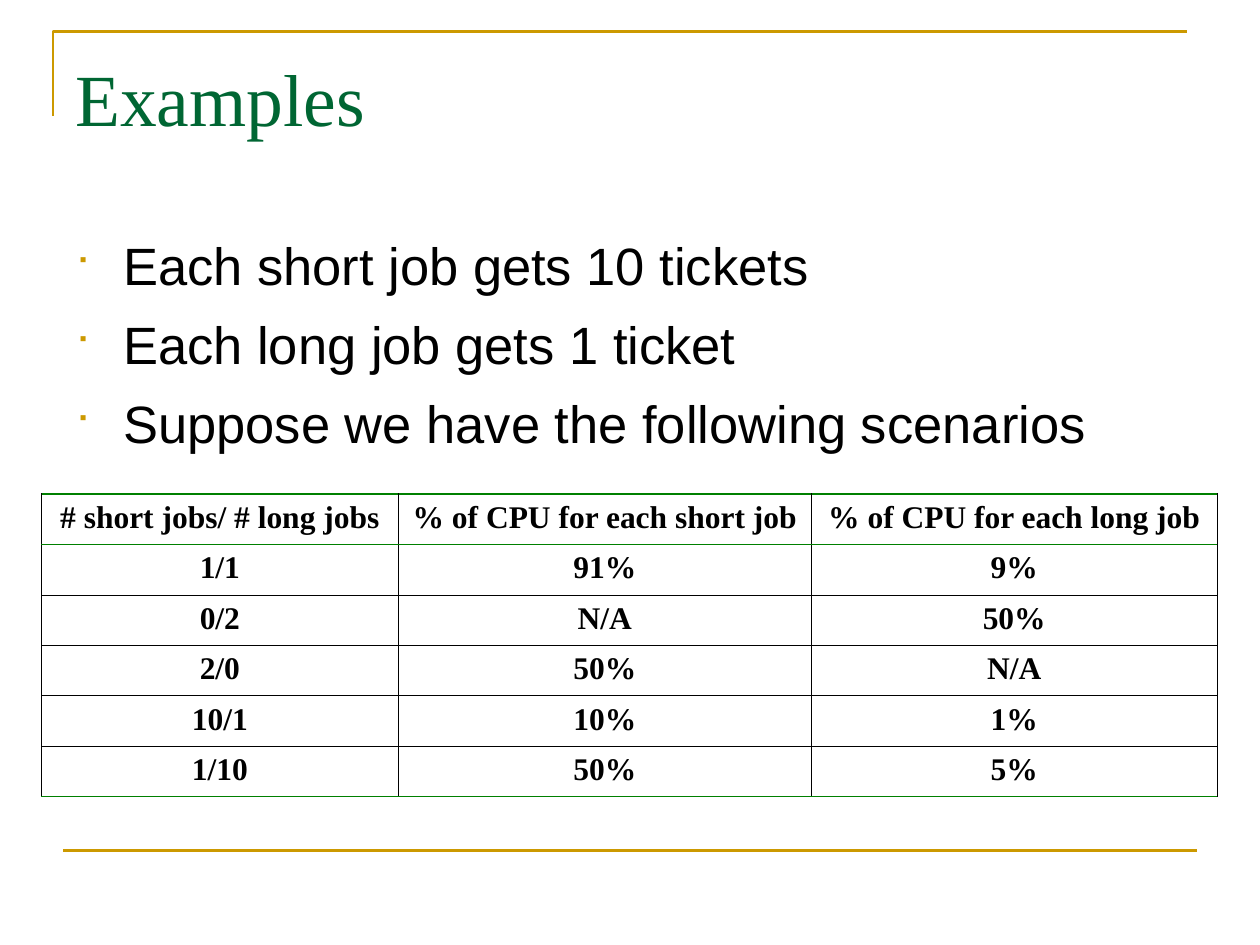
from dataclasses import dataclass

import pptx
import pptx.util
from lxml import etree
from pptx.dml.color import RGBColor
from pptx.enum.shapes import MSO_CONNECTOR
from pptx.enum.text import MSO_ANCHOR, PP_ALIGN
from pptx.oxml.ns import qn
from pptx.util import Inches, Pt

GOLD = RGBColor(0xCC, 0x99, 0x00)
TITLE_GREEN = RGBColor(0x00, 0x66, 0x33)
RULE_GREEN = RGBColor(0x00, 0x80, 0x00)
BLACK = RGBColor(0x00, 0x00, 0x00)
WHITE = RGBColor(0xFF, 0xFF, 0xFF)
SERIF = "Times New Roman"
SANS = "Arial"


@dataclass(frozen=True)
class TextStyle:
    font: str
    size: float
    color: RGBColor
    bold: bool = False


@dataclass(frozen=True)
class Border:
    color: RGBColor
    width: float


TITLE_STYLE = TextStyle(SERIF, 42, TITLE_GREEN)
BODY_STYLE = TextStyle(SANS, 30, BLACK)
CELL_STYLE = TextStyle(SERIF, 18, BLACK, bold=True)

GRID = Border(BLACK, 0.34)
HEADER_RULE = Border(RULE_GREEN, 0.45)
OUTER_RULE = Border(RULE_GREEN, 0.96)

POINTS = [
    "Each short job gets 10 tickets",
    "Each long job gets 1 ticket",
    "Suppose we have the following scenarios",
]
SCENARIOS = [
    ("# short jobs/ # long jobs", "% of CPU for each short job", "% of CPU for each long job"),
    ("1/1", "91%", "9%"),
    ("0/2", "N/A", "50%"),
    ("2/0", "50%", "N/A"),
    ("10/1", "10%", "1%"),
    ("1/10", "50%", "5%"),
]
COLUMN_WIDTHS = [2.83, 3.28, 3.22]
ROW_HEIGHT = 0.4


def add_run(paragraph, text: str, style: TextStyle) -> None:
    run = paragraph.add_run()
    run.text = text
    run.font.name = style.font
    run.font.size = Pt(style.size)
    run.font.bold = style.bold
    run.font.color.rgb = style.color


def add_text_frame(slide, left: float, top: float, width: float, height: float, margin_top: float):
    frame = slide.shapes.add_textbox(
        Inches(left), Inches(top), Inches(width), Inches(height)).text_frame
    frame.word_wrap = True
    frame.vertical_anchor = MSO_ANCHOR.TOP
    frame.margin_top = Inches(margin_top)
    return frame


def set_bullet(paragraph) -> None:
    properties = paragraph._p.get_or_add_pPr()
    properties.set("marL", str(Inches(0.38)))
    properties.set("indent", str(-Inches(0.38)))
    color = etree.SubElement(properties, qn("a:buClr"))
    etree.SubElement(color, qn("a:srgbClr"), val=str(GOLD))
    etree.SubElement(properties, qn("a:buSzPct"), val="65000")
    etree.SubElement(properties, qn("a:buFont"), typeface="Wingdings")
    etree.SubElement(properties, qn("a:buChar"), char="■")


def set_borders(cell, top: Border, bottom: Border) -> None:
    properties = cell._tc.get_or_add_tcPr()
    sides = {"a:lnL": GRID, "a:lnR": GRID, "a:lnT": top, "a:lnB": bottom}
    for index, (tag, border) in enumerate(sides.items()):
        line = etree.Element(qn(tag), w=str(Pt(border.width)))
        fill = etree.SubElement(line, qn("a:solidFill"))
        etree.SubElement(fill, qn("a:srgbClr"), val=str(border.color))
        properties.insert(index, line)


def add_frame_lines(slide) -> None:
    # Corner at the top left
    builder = slide.shapes.build_freeform(Inches(0.42), Inches(0.92))
    builder.add_line_segments(
        [(Inches(0.42), Inches(0.25)), (Inches(9.42), Inches(0.25))], close=False)
    corner = builder.convert_to_shape()
    corner.shadow.inherit = False
    corner.fill.background()

    # Rule at the foot
    foot_rule = slide.shapes.add_connector(
        MSO_CONNECTOR.STRAIGHT, Inches(0.5), Inches(6.75), Inches(9.5), Inches(6.75))
    etree.SubElement(foot_rule._element.spPr, qn("a:effectLst"))

    for part in (corner, foot_rule):
        part.line.color.rgb = GOLD
        part.line.width = Pt(1.5)


def add_points(slide) -> None:
    frame = add_text_frame(slide, 0.5, 1.75, 9, 1.9, margin_top=0.1)
    for index, point in enumerate(POINTS):
        paragraph = frame.add_paragraph() if index else frame.paragraphs[0]
        set_bullet(paragraph)
        if index:
            paragraph.space_before = Pt(9)
        add_run(paragraph, point, BODY_STYLE)


def add_scenarios(slide) -> None:
    row_count = len(SCENARIOS)
    table = slide.shapes.add_table(
        row_count, len(COLUMN_WIDTHS), Inches(0.33), Inches(3.92),
        Inches(sum(COLUMN_WIDTHS)), Inches(ROW_HEIGHT * row_count)).table
    for column, width in zip(table.columns, COLUMN_WIDTHS):
        column.width = Inches(width)

    rules = [OUTER_RULE, HEADER_RULE] + [GRID] * (row_count - 2) + [OUTER_RULE]
    for row_index, values in enumerate(SCENARIOS):
        table.rows[row_index].height = Inches(ROW_HEIGHT)
        for column_index, value in enumerate(values):
            cell = table.cell(row_index, column_index)
            cell.fill.solid()
            cell.fill.fore_color.rgb = WHITE
            set_borders(cell, rules[row_index], rules[row_index + 1])
            paragraph = cell.text_frame.paragraphs[0]
            paragraph.alignment = PP_ALIGN.CENTER
            add_run(paragraph, value, CELL_STYLE)


def main() -> None:
    presentation = pptx.Presentation()
    presentation.slide_width = Inches(10)
    presentation.slide_height = Inches(7.5)
    slide = presentation.slides.add_slide(presentation.slide_layouts[6])

    add_frame_lines(slide)
    title = add_text_frame(slide, 0.5, 0.3, 9, 1.25, margin_top=0.12)
    add_run(title.paragraphs[0], "Examples", TITLE_STYLE)
    add_points(slide)
    add_scenarios(slide)

    presentation.save("out.pptx")


if __name__ == "__main__":
    main()
